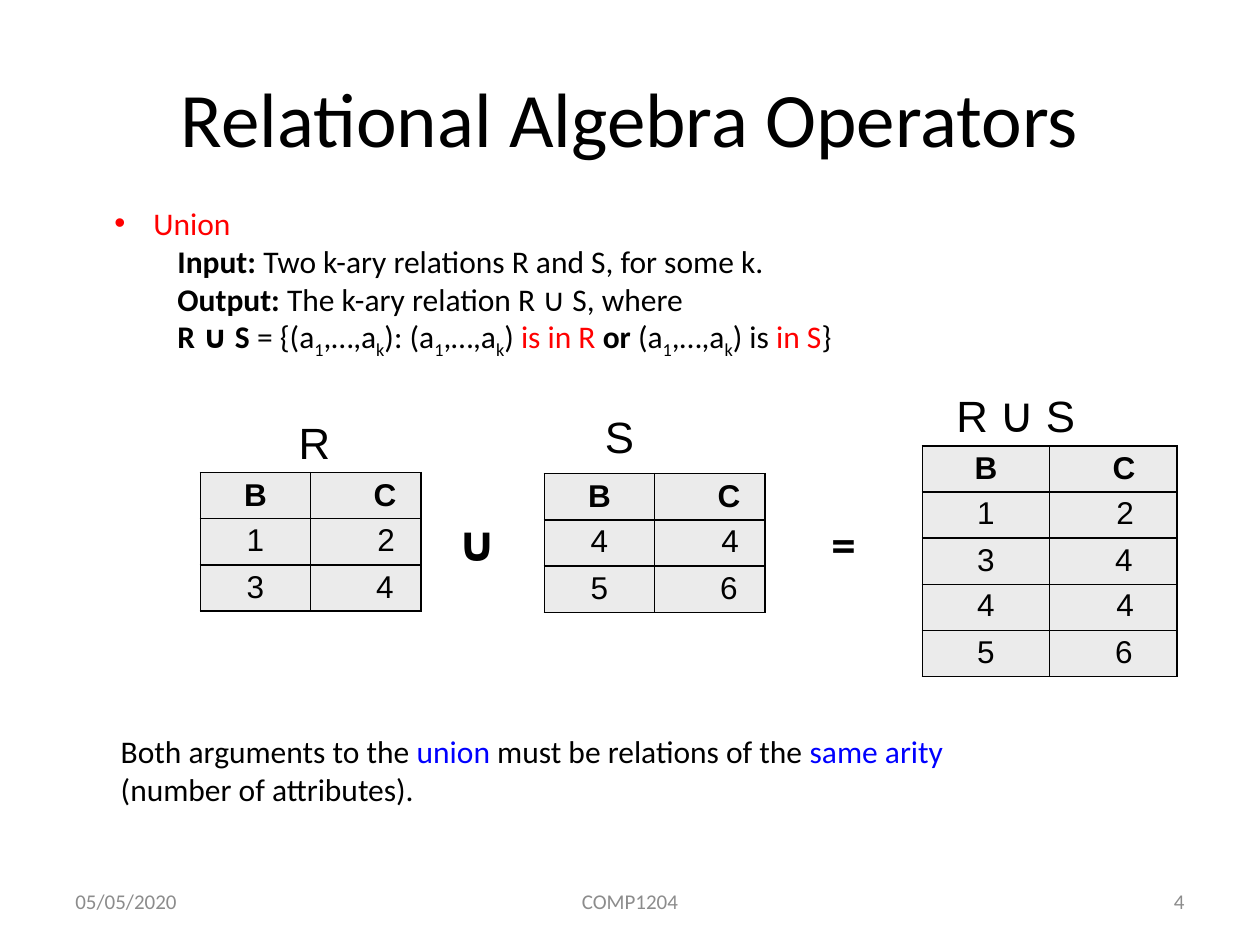
from lxml import etree
from pptx import Presentation
from pptx import util as u
from pptx.dml.color import RGBColor
from pptx.enum import text
from pptx.oxml.ns import qn

COLORS = {"ink": "000000", "red": "FF0000", "blue": "0000FF",
          "footer": "8C8C8C", "cell": "EBEBEB"}
INSETS = (0.1, 0.05, 0.1, 0.05)
LABEL_INSETS = (0, 0.01, 0, 0)
ALIGN = text.PP_ALIGN


def set_insets(frame, insets):
    """Margins in the order left, top, right, bottom; cells take them too."""
    (frame.margin_left, frame.margin_top,
     frame.margin_right, frame.margin_bottom) = map(u.Inches, insets)


def add_run(paragraph, words, size=18, font="Calibri", color="ink",
            bold=False, subscript=False, spacing=None):
    run = paragraph.add_run()
    run.text = words
    run.font.size = u.Pt(size)
    run.font.name = font
    run.font.bold = bold
    run.font.color.rgb = RGBColor.from_string(COLORS[color])
    properties = run.font._element
    if subscript:
        properties.set("baseline", "-25000")
    if spacing is not None:
        properties.set("spc", str(round(spacing * 100)))


def set_indent(paragraph, left, first=0.0, bullet=None):
    properties = paragraph._p.get_or_add_pPr()
    properties.set("marL", str(u.Inches(left)))
    properties.set("indent", str(u.Inches(first)))
    if bullet:
        etree.SubElement(properties, qn("a:buFont")).set("typeface", "Arial")
        etree.SubElement(properties, qn("a:buChar")).set("char", bullet)


def add_text(slide, box, paragraphs, align=ALIGN.LEFT, insets=INSETS,
             middle=False, wrap=True):
    """Each paragraph is a list of (words, style) runs."""
    frame = slide.shapes.add_textbox(*map(u.Inches, box)).text_frame
    frame.word_wrap = wrap
    set_insets(frame, insets)
    if middle:
        frame.vertical_anchor = text.MSO_ANCHOR.MIDDLE
    else:
        frame.auto_size = text.MSO_AUTO_SIZE.SHAPE_TO_FIT_TEXT
    for index, runs in enumerate(paragraphs):
        paragraph = frame.add_paragraph() if index else frame.paragraphs[0]
        paragraph.alignment = align
        for words, style in runs:
            add_run(paragraph, words, **style)
    return frame


def add_title(slide, box):
    add_text(slide, box, [[("Relational Algebra Operators", {"size": 44})]],
             ALIGN.CENTER, middle=True)


def add_definition(slide, box):
    bold, red, sub = {"bold": True}, {"color": "red"}, {"subscript": True}
    k_tuple = [("(a", {}), ("1", sub), (",…,a", {}), ("k", sub)]
    frame = add_text(slide, box, [
        [("Union", red)],
        [("Input:", bold), (" Two k-ary relations R and S, for some k.", {})],
        [("Output: ", bold), ("The k-ary relation R ∪ S, where", {})],
        [("R ∪ S ", bold), ("= {", {}), *k_tuple, ("): ", {}), *k_tuple,
         (") ", {}), ("is in R ", red), ("or", bold), (" ", {}), *k_tuple,
         (") is ", {}), ("in S", red), ("}", {})],
    ])
    heading, *details = frame.paragraphs
    set_indent(heading, 0.31, -0.31, bullet="•")
    for paragraph in details:
        paragraph.level = 1
        set_indent(paragraph, 0.5)


def style_cell(cell):
    properties = cell._tc.get_or_add_tcPr()
    for side in ("a:lnL", "a:lnR", "a:lnT", "a:lnB"):
        line = etree.SubElement(properties, qn(side))
        line.set("w", str(u.Pt(1)))
        fill = etree.SubElement(line, qn("a:solidFill"))
        etree.SubElement(fill, qn("a:srgbClr")).set("val", COLORS["ink"])
    cell.fill.solid()
    cell.fill.fore_color.rgb = RGBColor.from_string(COLORS["cell"])


def add_relation(slide, box, rows):
    left, top, width, height = map(u.Inches, box)
    table = slide.shapes.add_table(len(rows) + 1, 2, left, top,
                                   width, height).table
    table.first_row = table.horz_banding = False
    for row, values in enumerate([("B", "C"), *rows]):
        # Odd rows sit slightly higher and further right
        second_indent = 0.5 if row == 0 else 0.53 if row % 2 else 0.52
        for column, value in enumerate(values):
            cell = table.cell(row, column)
            style_cell(cell)
            set_insets(cell, (0, 0.03 if row % 2 else 0.04, 0, 0))
            paragraph = cell.text_frame.paragraphs[0]
            if column:
                set_indent(paragraph, second_indent)
            else:
                paragraph.alignment = ALIGN.CENTER
            add_run(paragraph, value, font="Arial", bold=row == 0)


def add_union_example(slide, box):
    left, top = box[:2]
    name = {"size": 25, "font": "Arial", "spacing": -1.4}
    r_rows, s_rows = [("1", "2"), ("3", "4")], [("4", "4"), ("5", "6")]

    # Relations
    add_relation(slide, (left, top + 0.72, 1.75, 1.1), r_rows)
    add_relation(slide, (left + 2.73, top + 0.73, 1.75, 1.1), s_rows)
    add_relation(slide, (left + 5.73, top + 0.51, 2.02, 1.83), r_rows + s_rows)

    # Relation names
    for x, y, width, height, runs in [
        (0.78, 0.26, 0.41, 0.43, [("R", name)]),
        (3.21, 0.21, 0.41, 0.43, [("S", name)]),
        (6, 0, 1.36, 0.48, [("R", name), (" ∪ ", {"size": 28}), ("S", name)]),
    ]:
        add_text(slide, (left + x, top + y, width, height), [runs],
                 insets=LABEL_INSETS)

    # Operators between the relations
    for x, y, width, symbol in [(1.94, 0.99, 0.59, "∪"), (4.91, 1, 0.4, "=")]:
        add_text(slide, (left + x, top + y, width, 0.57),
                 [[(symbol, {"size": 28, "bold": True})]], wrap=False)


def add_arity_note(slide, box):
    blue = {"color": "blue"}
    add_text(slide, box, [[
        ("Both arguments to the ", {}), ("union", blue),
        (" must be relations of the ", {}), ("same arity ", blue),
        ("(number of attributes).", {})]])


def add_footer(slide, box):
    left, top, width, height = box
    style = {"size": 12, "color": "footer"}
    for x, part_width, words, align in [
        (0, 2.33, "05/05/2020", ALIGN.LEFT),
        ((width - 3.17) / 2, 3.17, "COMP1204", ALIGN.CENTER),
        (width - 2.33, 2.33, "4", ALIGN.RIGHT),
    ]:
        add_text(slide, (left + x, top, part_width, height),
                 [[(words, style)]], align, middle=True)


def main():
    presentation = Presentation()
    presentation.slide_width = u.Inches(10)
    presentation.slide_height = u.Inches(7.5)
    slide = presentation.slides.add_slide(presentation.slide_layouts[6])
    add_title(slide, (0.5, 0.3, 9, 1.25))
    add_definition(slide, (0.81, 1.57, 9.19, 1.31))
    add_union_example(slide, (1.59, 3.03, 7.75, 2.34))
    add_arity_note(slide, (0.86, 5.76, 7.41, 0.71))
    add_footer(slide, (0.5, 6.95, 9, 0.4))
    presentation.save("out.pptx")


if __name__ == "__main__":
    main()
